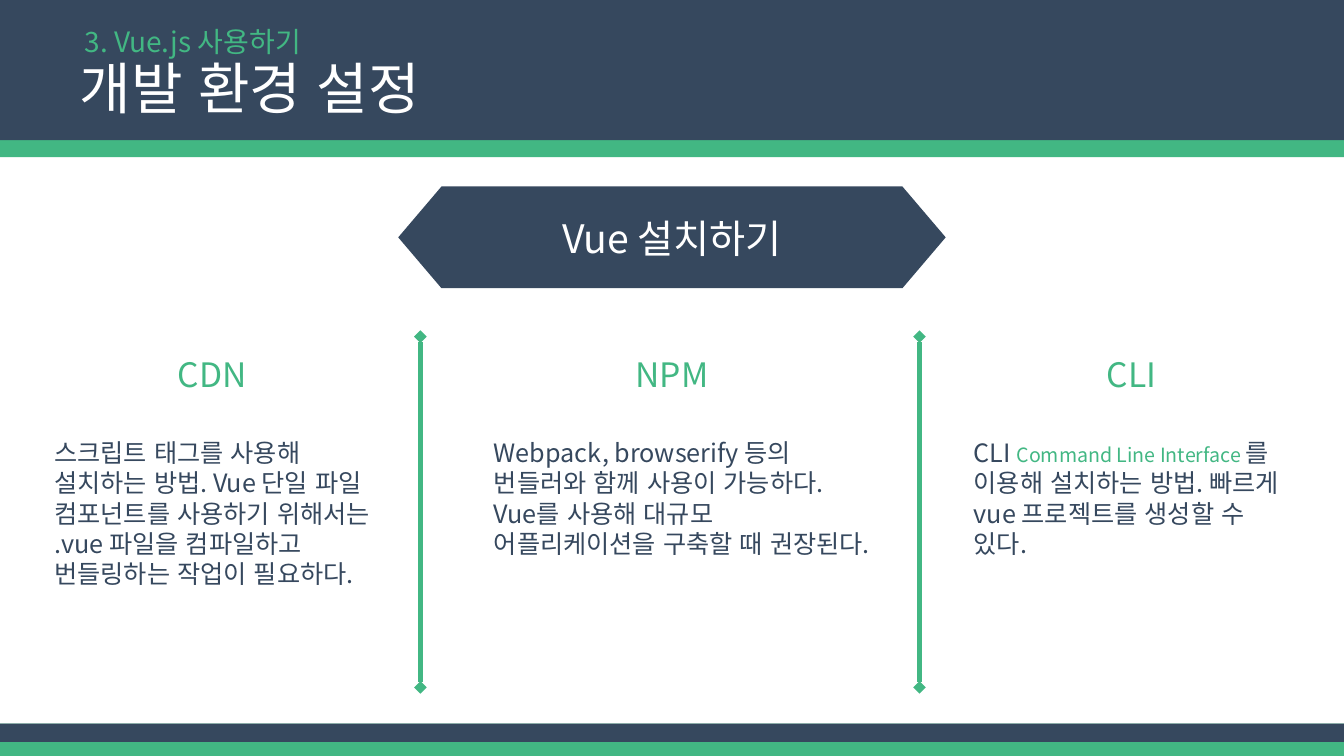
from dataclasses import dataclass

from lxml.etree import SubElement
from pptx import Presentation
from pptx.dml.color import RGBColor as RGB
from pptx.enum.lang import MSO_LANGUAGE_ID as LANG
from pptx.enum.shapes import MSO_CONNECTOR as CONNECTOR, MSO_SHAPE as SHAPE
from pptx.enum.text import MSO_ANCHOR as ANCHOR, PP_ALIGN as ALIGN
from pptx.oxml.ns import qn
from pptx.util import Inches, Pt


@dataclass(frozen=True)
class Theme:
    font: str = "Noto Sans CJK KR"
    navy: RGB = RGB(0x36, 0x48, 0x5E)
    green: RGB = RGB(0x42, 0xB7, 0x83)
    white: RGB = RGB(0xFF, 0xFF, 0xFF)
    title: int = 40
    banner: int = 28
    heading: int = 24
    label: int = 20
    body: int = 18
    small: int = 14


T = Theme()
WIDTH, HEIGHT = 13.33, 7.5

# heading, heading left, body left, body width, body height, body runs
METHODS = [
    ("CDN", 0.47, 0.44, 3.34, 1.92, [
        ("스크립트 태그를 사용해 설치하는 방법. Vue 단일 파일 컴포넌트를 사용하기 "
         "위해서는 .vue 파일을 컴파일하고 번들링하는 작업이 필요하다.", T.body, T.navy)]),
    ("NPM", 5.03, 4.8, 3.86, 1.31, [
        ("Webpack, browserify 등의 번들러와 함께 사용이 가능하다. "
         "Vue를 사용해 대규모 어플리케이션을 구축할 때 권장된다.", T.body, T.navy)]),
    ("CLI", 9.59, 9.56, 3.3, 1.31, [
        ("CLI ", T.body, T.navy),
        ("Command Line Interface ", T.small, T.green),
        ("를 이용해 설치하는 방법. 빠르게 vue 프로젝트를 생성할 수 있다.", T.body, T.navy)]),
]


def add_block(slide, kind, x, y, w, h, color):
    sp = slide.shapes.add_shape(kind, Inches(x), Inches(y), Inches(w), Inches(h))
    sp.shadow.inherit = False
    sp.fill.solid()
    sp.fill.fore_color.rgb = color
    sp.line.fill.background()
    return sp


def write(sp, runs, align=ALIGN.LEFT, anchor=ANCHOR.TOP, spacing=None):
    """Fill a shape's first paragraph with (text, size, color) runs."""
    tf = sp.text_frame
    tf.word_wrap = True
    tf.vertical_anchor = anchor
    p = tf.paragraphs[0]
    p.alignment = align
    p.line_spacing = spacing
    for text, size, color in runs:
        r = p.add_run()
        r.text = text
        r.font.size = Pt(size)
        r.font.name = T.font
        r.font.color.rgb = color
        r.font.language_id = LANG.KOREAN
        # Korean glyphs take the East Asian font
        SubElement(r.font._element, qn("a:ea")).set("typeface", T.font)


def add_text(slide, x, y, w, h, runs, **layout):
    sp = slide.shapes.add_textbox(Inches(x), Inches(y), Inches(w), Inches(h))
    write(sp, runs, **layout)


def set_title(slide, x, y, w, h, text):
    sp = slide.shapes.title
    sp.left, sp.top, sp.width, sp.height = map(Inches, (x, y, w, h))
    write(sp, [(text, T.title, T.white)], anchor=ANCHOR.MIDDLE, spacing=0.9)
    # Keep the title in front of the header band
    slide.shapes._spTree.append(sp._element)


def add_divider(slide, x, top, bottom):
    line = slide.shapes.add_connector(
        CONNECTOR.STRAIGHT, Inches(x), Inches(top), Inches(x), Inches(bottom))
    line.line.color.rgb = T.green
    line.line.width = Pt(3)
    ln = line.line._get_or_add_ln()
    for end in ("a:headEnd", "a:tailEnd"):
        SubElement(ln, qn(end)).set("type", "diamond")
    SubElement(line._element.spPr, qn("a:effectLst"))


def main():
    prs = Presentation()
    prs.slide_width, prs.slide_height = Inches(WIDTH), Inches(HEIGHT)
    slide = prs.slides.add_slide(prs.slide_layouts[5])

    # Header and footer bands: navy over green
    for y, green_h, navy_h in [(0, 1.56, 1.39), (HEIGHT - 0.32, 0.32, 0.18)]:
        add_block(slide, SHAPE.RECTANGLE, 0, y, WIDTH, green_h, T.green)
        add_block(slide, SHAPE.RECTANGLE, 0, y, WIDTH, navy_h, T.navy)

    # Chapter label and title
    add_text(slide, 0.74, 0.24, 7.35, 0.4, [("3. Vue.js 사용하기", T.label, T.green)],
             anchor=ANCHOR.MIDDLE, spacing=0.8)
    set_title(slide, 0.69, 0.56, 10.12, 0.69, "개발 환경 설정")

    # Topic banner
    banner = add_block(slide, SHAPE.HEXAGON, 3.95, 1.85, 5.43, 1.01, T.navy)
    banner.adjustments[0] = 0.425
    write(banner, [("Vue 설치하기", T.banner, T.white)],
          align=ALIGN.CENTER, anchor=ANCHOR.MIDDLE)

    # Three installation methods and the dividers between them
    for x in (4.17, 9.12):
        add_divider(slide, x, 3.34, 6.82)
    for heading, heading_x, x, w, h, runs in METHODS:
        add_text(slide, heading_x, 3.46, 3.27, 0.5,
                 [(heading, T.heading, T.green)], align=ALIGN.CENTER)
        add_text(slide, x, 4.29, w, h, runs)

    prs.save("out.pptx")


main()
